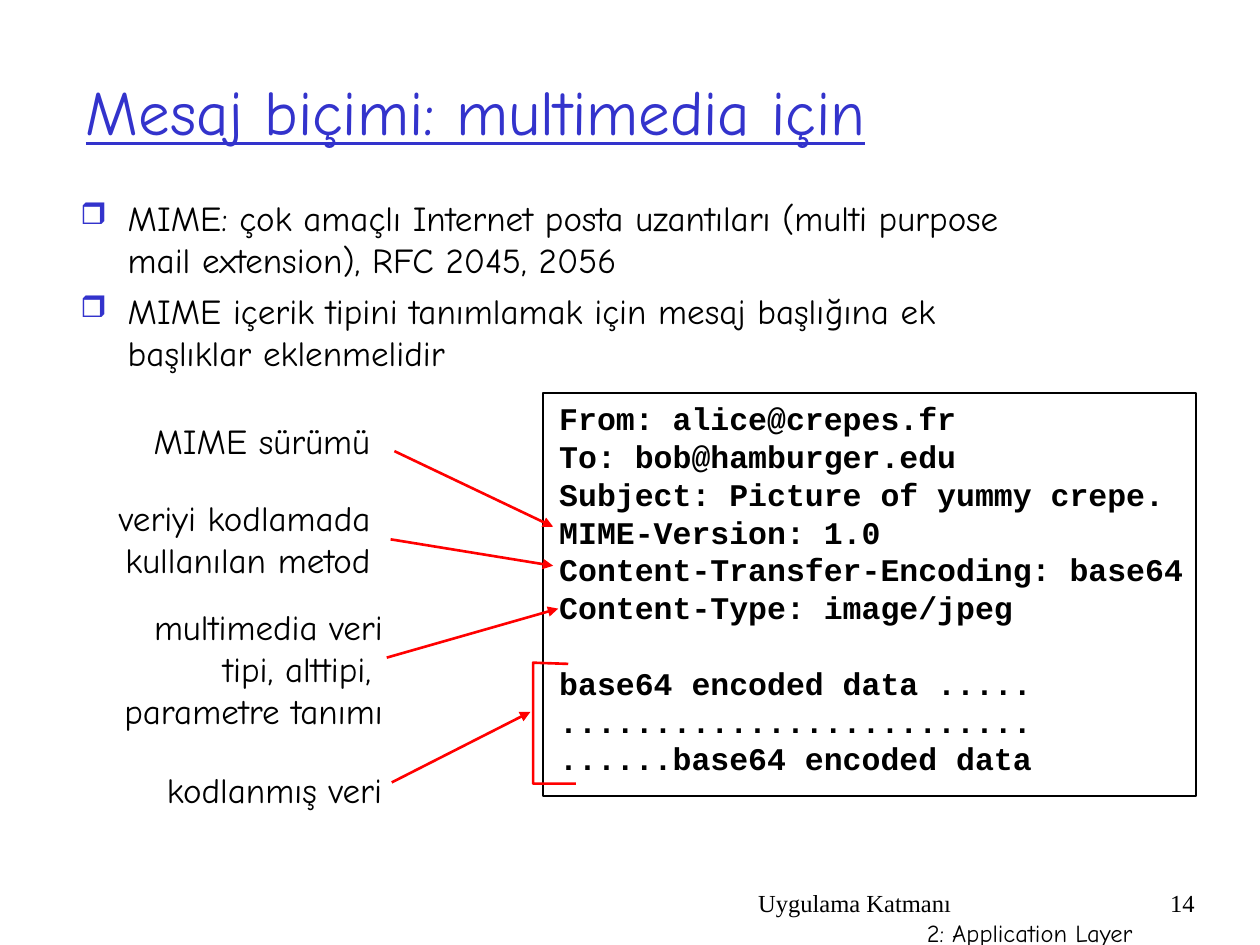
"""Build the slide on the MIME message format for multimedia."""
from lxml import etree
from pptx import Presentation
from pptx.dml.color import RGBColor
from pptx.enum import shapes, text
from pptx.oxml import ns
from pptx.util import Pt

COLORS = {"ink": "000000", "accent": "3333CC", "pointer": "FF0000"}
HAND, CODE, SERIF = "Comic Neue", "Courier New", "Times New Roman"
LEFT, CENTER, RIGHT = text.PP_ALIGN.LEFT, text.PP_ALIGN.CENTER, text.PP_ALIGN.RIGHT
FORMATS = {
    "title": {"name": HAND, "size": Pt(36), "underline": True},
    "body": {"name": HAND, "size": Pt(20)},
    "code": {"name": CODE, "size": Pt(18), "bold": True},
    "footer": {"name": SERIF, "size": Pt(14)},
    "chapter": {"name": HAND, "size": Pt(14)},
}

TITLE = "Mesaj biçimi: multimedia için"
BULLETS = [
    "MIME: çok amaçlı Internet posta uzantıları (multi purpose mail extension), RFC 2045, 2056",
    "MIME içerik tipini tanımlamak için mesaj başlığına ek başlıklar eklenmelidir",
]
HEADERS = [
    "From: alice@crepes.fr",
    "To: bob@hamburger.edu",
    "Subject: Picture of yummy crepe.",
    "MIME-Version: 1.0",
    "Content-Transfer-Encoding: base64",
    "Content-Type: image/jpeg",
]
DATA = [
    "base64 encoded data .....",
    ".........................",
    "......base64 encoded data",
]
LABELS = [
    (["multimedia veri", "tipi, alttipi, ", "parametre tanımı"], RIGHT, (62.6, 342.7, 163.4, 79.2)),
    (["veriyi kodlamada", "kullanılan metod"], RIGHT, (59.8, 280.1, 159.1, 55.4)),
    (["MIME sürümü"], CENTER, (80.6, 236.2, 138.2, 31.7)),
    (["kodlanmış veri"], CENTER, (87.8, 435.6, 138.2, 31.7)),
]
ARROWS = [
    (225.4, 257.8, 316.1, 301),
    (223.2, 308.2, 316.1, 323.3),
    (221, 375.8, 319, 347.8),
    (223.9, 447.1, 303.1, 406.8),
]
BRACKET = [(324.7, 379.4), (304.6, 378.7), (304.6, 447.8), (329, 447.8)]
CODE_LINE = 21.6


def points(values):
    return [Pt(value) for value in values]


def rgb(color):
    return RGBColor.from_string(COLORS[color])


def style(paragraph, kind, color="ink", align=LEFT):
    paragraph.alignment = align
    for name, value in FORMATS[kind].items():
        setattr(paragraph.font, name, value)
    paragraph.font.color.rgb = rgb(color)


def add_text(parent, lines, kind, box, align=LEFT, wrap=True):
    frame = parent.add_textbox(*points(box)).text_frame
    frame.word_wrap = wrap
    frame.text = "\n".join(lines)
    for paragraph in frame.paragraphs:
        style(paragraph, kind, align=align)
    return frame


def add_bullet(paragraph):
    properties = paragraph._p.get_or_add_pPr()
    properties.set("marL", str(Pt(27)))
    properties.set("indent", str(-Pt(27)))
    color = etree.SubElement(properties, ns.qn("a:buClr"))
    etree.SubElement(color, ns.qn("a:srgbClr"), val=COLORS["accent"])
    etree.SubElement(properties, ns.qn("a:buSzPct"), val="85000")
    etree.SubElement(properties, ns.qn("a:buChar"), char="❒")


def format_line(line, color, width):
    line.color.rgb = rgb(color)
    line.width = Pt(width)


def add_title(slide):
    title = slide.shapes.title
    title.left, title.top, title.width, title.height = points((41.8, 18, 660.2, 90))
    title.text_frame.text = TITLE
    title.text_frame.vertical_anchor = text.MSO_ANCHOR.MIDDLE
    style(title.text_frame.paragraphs[0], "title", "accent")


def add_body(slide):
    frame = slide.shapes.add_textbox(*points((38.9, 108.7, 576.7, 365.8))).text_frame
    frame.word_wrap = True
    frame.text = "\n".join(BULLETS)
    for index, paragraph in enumerate(frame.paragraphs):
        add_bullet(paragraph)
        style(paragraph, "body")
        if index:
            paragraph.space_before = Pt(5)


def add_message(slide):
    group = slide.shapes.add_group_shape()
    frame = add_text(group.shapes, HEADERS + DATA, "code", (312.5, 224.6, 391.7, 244.8))
    for paragraph in frame.paragraphs:
        paragraph.line_spacing = Pt(CODE_LINE)
    frame.paragraphs[len(HEADERS)].space_before = Pt(CODE_LINE)
    border = group.shapes.add_shape(
        shapes.MSO_SHAPE.RECTANGLE, *points((310.3, 224.6, 373, 230.4)))
    border.shadow.inherit = False
    border.fill.background()
    format_line(border.line, "ink", 1)


def add_arrow(slide, ends):
    arrow = slide.shapes.add_connector(shapes.MSO_CONNECTOR.STRAIGHT, *points(ends))
    format_line(arrow.line, "pointer", 1.5)
    etree.SubElement(arrow.line._get_or_add_ln(), ns.qn("a:tailEnd"), type="triangle")
    etree.SubElement(arrow._element.spPr, ns.qn("a:effectLst"))


def add_bracket(slide):
    start, *rest = [points(corner) for corner in BRACKET]
    builder = slide.shapes.build_freeform(*start)
    builder.add_line_segments(rest, close=False)
    bracket = builder.convert_to_shape()
    bracket.shadow.inherit = False
    bracket.fill.background()
    format_line(bracket.line, "pointer", 1.5)


def main():
    presentation = Presentation()
    presentation.slide_width, presentation.slide_height = points((720, 540))
    slide = presentation.slides.add_slide(presentation.slide_layouts[5])
    footer = add_text(slide.shapes, ["Uygulama Katmanı", "2: Application Layer"],
                      "footer", (426.2, 504, 228.2, 36))
    style(footer.paragraphs[1], "chapter", align=RIGHT)
    add_text(slide.shapes, ["14"], "footer", (653.8, 504, 36, 36), RIGHT)
    add_title(slide)
    add_body(slide)
    add_message(slide)
    for lines, align, box in LABELS:
        add_text(slide.shapes, lines, "body", box, align, wrap=False)
    for ends in ARROWS:
        add_arrow(slide, ends)
    add_bracket(slide)
    presentation.save("out.pptx")


if __name__ == "__main__":
    main()
